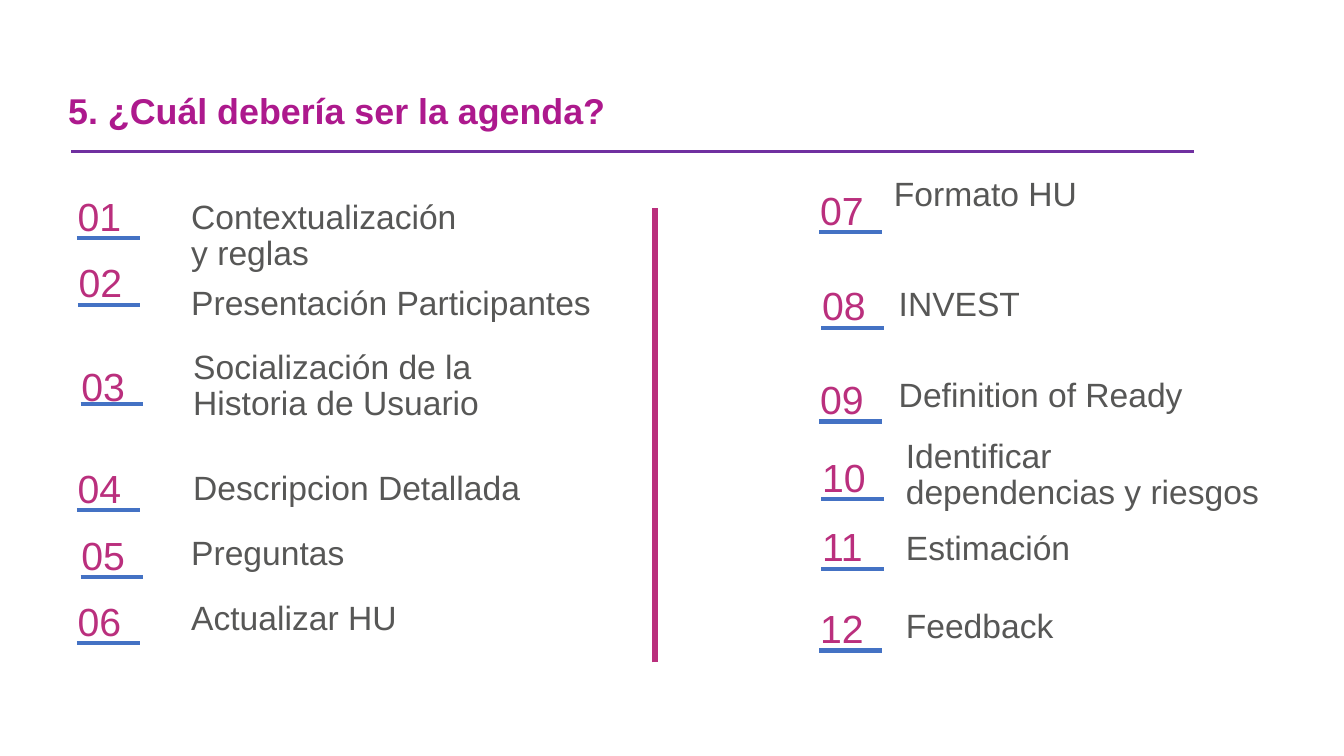
"""Build the agenda slide with twelve numbered topics in two columns."""
from dataclasses import dataclass

from lxml.etree import SubElement
from pptx import Presentation
from pptx.dml.color import RGBColor
from pptx.enum.shapes import MSO_CONNECTOR as Connector
from pptx.enum.text import MSO_ANCHOR as Anchor
from pptx.oxml.ns import qn
from pptx.slide import Slide
from pptx.util import Cm, Pt

PURPLE = RGBColor(0x70, 0x30, 0xA0)
MAGENTA = RGBColor(0xAD, 0x19, 0x8D)
PINK = RGBColor(0xBA, 0x2F, 0x7D)
BLUE = RGBColor(0x44, 0x72, 0xC4)
GRAY = RGBColor(0x57, 0x57, 0x56)

NUMBER_WIDTH, NUMBER_HEIGHT = 1.8, 0.94
RULE_INDENT, RULE_WIDTH = 0.23, 1.58


@dataclass(frozen=True)
class Topic:
    title: str
    number_left: float
    number_top: float
    left: float
    top: float
    width: float
    height: float = 1.09
    rule_drop: float = 1.15


TOPICS = [
    Topic("Contextualización y reglas", 1.71, 4.85, 4.57, 4.93, 7.44, 0.94),
    Topic("Presentación Participantes", 1.73, 6.53, 4.57, 7.09, 11.38, 0.97),
    Topic("Socialización de la Historia de Usuario", 1.8, 9.14, 4.62, 8.71, 8.94, 1.17,
          rule_drop=1.04),
    Topic("Descripcion Detallada", 1.71, 11.71, 4.62, 11.76, 9.4, 1.12),
    Topic("Preguntas", 1.8, 13.39, 4.57, 13.39, 8.59, 1.17),
    Topic("Actualizar HU", 1.71, 15.06, 4.57, 15.04, 8.69, 1.35),
    Topic("Formato HU", 20.42, 4.7, 22.28, 4.34, 9.58),
    Topic("INVEST", 20.47, 7.11, 22.4, 7.11, 9.58),
    Topic("Definition of Ready", 20.42, 9.47, 22.4, 9.4, 9.58),
    Topic("Identificar dependencias y riesgos", 20.47, 11.43, 22.58, 10.95, 9.58),
    Topic("Estimación", 20.47, 13.18, 22.58, 13.26, 10.16, 2.16),
    Topic("Feedback", 20.42, 15.24, 22.58, 15.24, 4.88, 1.19),
]


def add_text(slide: Slide, text: str, left: float, top: float, width: float, height: float,
             *, size: float, color: RGBColor, bold: bool = False,
             anchor: Anchor = Anchor.TOP) -> None:
    box = slide.shapes.add_textbox(Cm(left), Cm(top), Cm(width), Cm(height))
    frame = box.text_frame
    frame.word_wrap = True
    frame.vertical_anchor = anchor
    paragraph = frame.paragraphs[0]
    paragraph.line_spacing = 0.9
    run = paragraph.add_run()
    run.text = text
    run.font.name = "Arial"
    run.font.size = Pt(size)
    run.font.bold = bold
    run.font.color.rgb = color


def add_rule(slide: Slide, x1: float, y1: float, x2: float, y2: float,
             *, color: RGBColor, weight: float) -> None:
    rule = slide.shapes.add_connector(Connector.STRAIGHT, Cm(x1), Cm(y1), Cm(x2), Cm(y2))
    rule.line.color.rgb = color
    rule.line.width = Pt(weight)
    SubElement(rule._element.spPr, qn("a:effectLst"))


def add_topic(slide: Slide, number: int, topic: Topic) -> None:
    add_text(slide, f"{number:02d}", topic.number_left, topic.number_top,
             NUMBER_WIDTH, NUMBER_HEIGHT, size=28, color=PINK)
    rule_left = topic.number_left + RULE_INDENT
    rule_top = topic.number_top + topic.rule_drop
    add_rule(slide, rule_left, rule_top, rule_left + RULE_WIDTH, rule_top,
             color=BLUE, weight=3)
    add_text(slide, topic.title, topic.left, topic.top, topic.width, topic.height,
             size=24, color=GRAY)


def main() -> None:
    deck = Presentation()
    deck.slide_width, deck.slide_height = Cm(33.87), Cm(19.05)
    agenda = deck.slides.add_slide(deck.slide_layouts[6])
    add_rule(agenda, 1.8, 3.82, 30.1, 3.82, color=PURPLE, weight=2.25)
    add_text(agenda, "5. ¿Cuál debería ser la agenda?", 1.47, 2.08, 26.24, 1.55,
             size=25.6, color=MAGENTA, bold=True, anchor=Anchor.MIDDLE)
    add_rule(agenda, 16.51, 16.69, 16.51, 5.23, color=PINK, weight=4.5)
    for number, topic in enumerate(TOPICS, start=1):
        add_topic(agenda, number, topic)
    deck.save("out.pptx")


if __name__ == "__main__":
    main()
